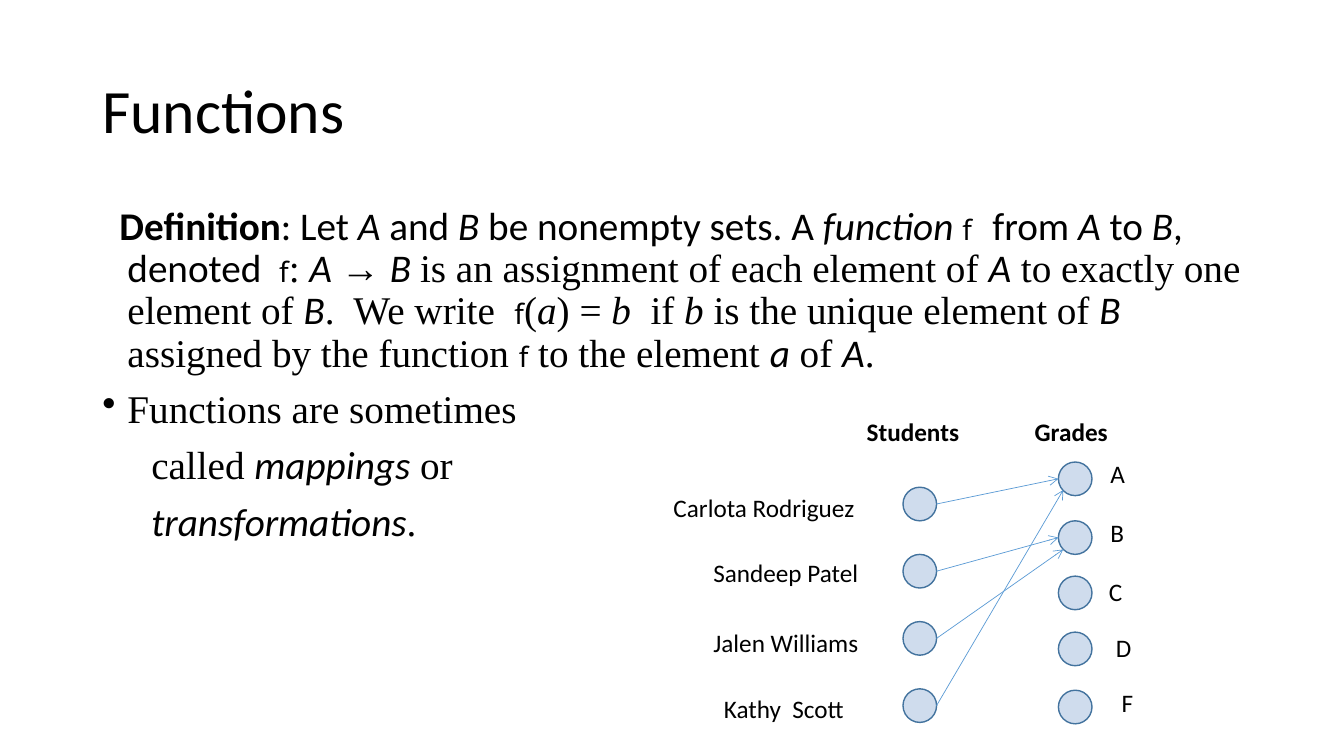
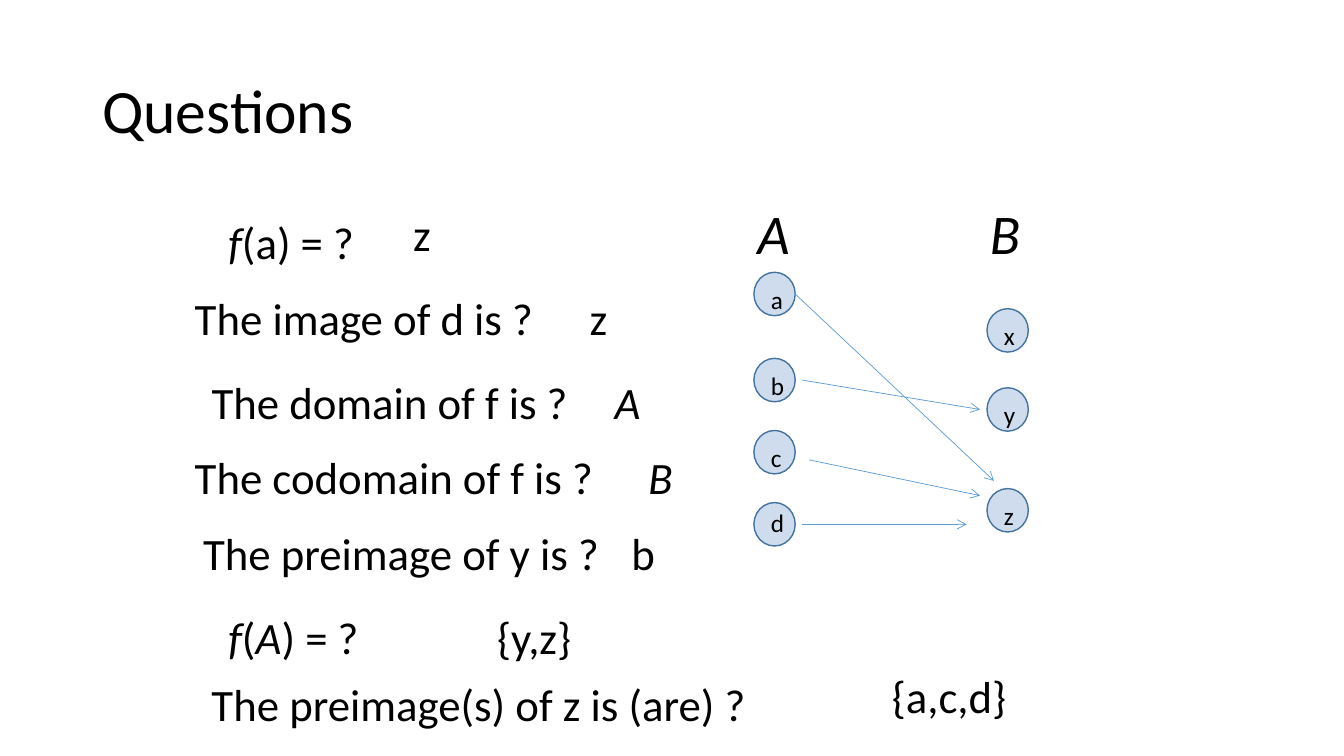
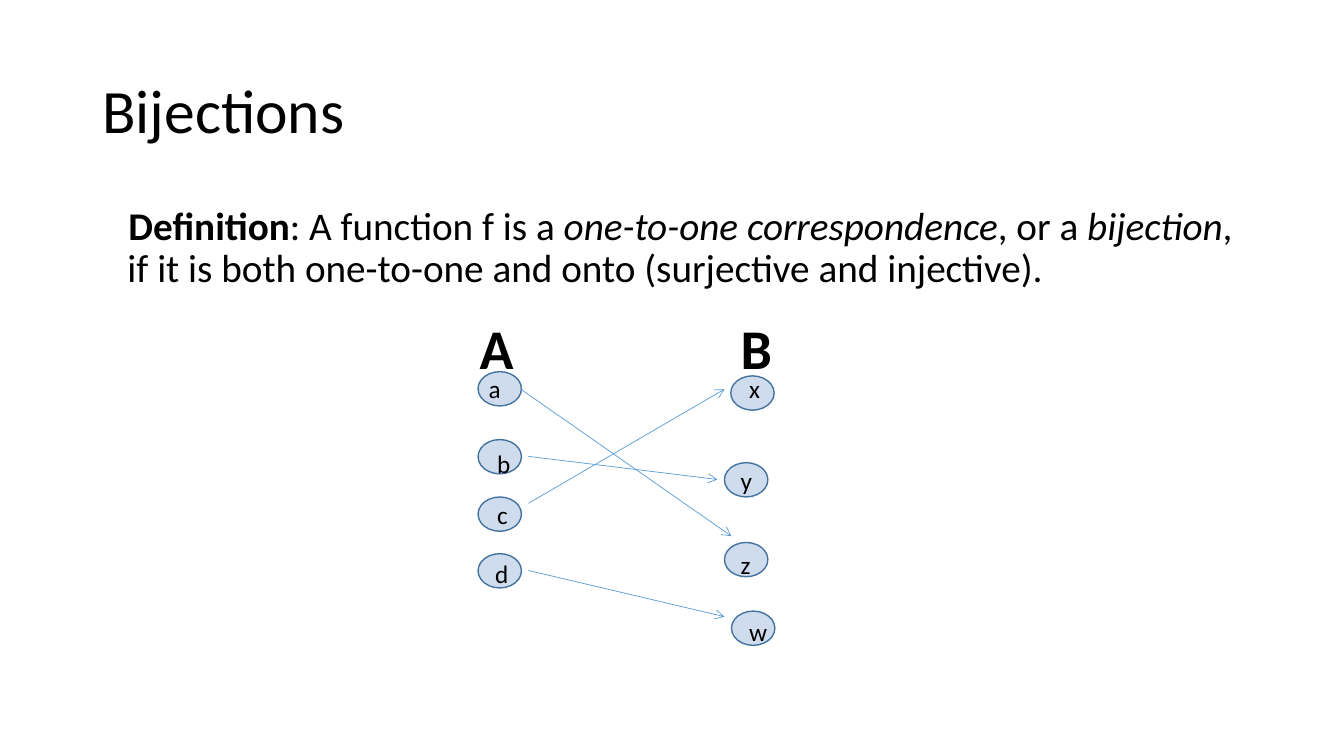
from lxml.etree import SubElement
from pptx import Presentation
from pptx.dml.color import RGBColor
from pptx.enum.shapes import MSO_CONNECTOR, MSO_SHAPE
from pptx.enum.text import MSO_ANCHOR
from pptx.oxml.ns import qn
from pptx.util import Pt

BLACK = RGBColor(0x00, 0x00, 0x00)
NODE_FILL = RGBColor(0x4F, 0x81, 0xBD)
NODE_LINE = RGBColor(0x43, 0x73, 0x9E)
ARROW = RGBColor(0x5B, 0x9B, 0xD5)
NODE_OPACITY = 27000

SERIF = "Times New Roman"
SYMBOL = "Noto Sans"
# style: (font, bold, italic, size that replaces the paragraph's size)
STYLES = {
    "plain": ("Calibri", False, False, None),
    "bold": ("Calibri", True, False, None),
    "italic": ("Calibri", False, True, None),
    "serif": (SERIF, False, False, None),
    "serif italic": (SERIF, False, True, None),
    "symbol": (SYMBOL, False, False, 20),
    "symbol gap": (SYMBOL, False, False, None),
}

# Body paragraph: (left margin, first-line indent, bullet, runs)
FUNCTIONS_BODY = [
    (18, -5.7, None, [
        ("Definition", "bold"), (": Let ", "plain"), ("A", "italic"), (" and ", "plain"),
        ("B ", "italic"), ("be nonempty sets. A ", "plain"), ("function ", "italic"),
        ("f", "symbol"), ("  ", "symbol gap"), ("from ", "plain"), ("A", "italic"),
        (" to ", "plain"), ("B", "italic"), (", denoted  ", "plain"), ("f", "symbol"),
        (": ", "serif"), ("A ", "italic"), ("→ ", "serif"), ("B ", "italic"),
        ("is an assignment of each element of ", "serif"), ("A", "italic"),
        (" to exactly one element of ", "serif"), ("B", "italic"),
        (".  We write  ", "serif"), ("f", "symbol"), ("(", "serif"),
        ("a", "serif italic"), (") = ", "serif"), ("b  ", "serif italic"),
        ("if ", "serif"), ("b", "serif italic"),
        (" is the unique element of ", "serif"), ("B", "italic"),
        (" assigned by the function ", "serif"), ("f", "symbol"),
        (" to the element ", "serif"), ("a", "italic"), (" of ", "serif"),
        ("A", "italic"), (".", "serif"),
    ]),
    (18, -18, "•", [("Functions are sometimes", "serif")]),
    (35, 0, None, [("called ", "serif"), ("mappings", "italic"), (" or", "serif")]),
    (35, 0, None, [("transformations", "italic"), (".", "serif")]),
]
BIJECTIONS_BODY = [
    (18, 0.7, None, [
        ("Definition", "bold"), (": A function f is a ", "plain"),
        ("one-to-one correspondence", "italic"), (", or a ", "plain"),
        ("bijection", "italic"),
        (", if it is both one-to-one and onto (surjective and injective).", "plain"),
    ]),
]

# Question or answer: (runs, left, top, width)
QUESTIONS = [
    ([("f", "italic"), ("(a) = ?", "plain")], 156, 150, 306),
    ([("z", "plain")], 288, 144, 228),
    ([("The image of d is ?", "plain")], 132, 204, 306),
    ([("z", "plain")], 414, 204, 54),
    ([("The domain of f is ?", "plain")], 144, 264, 306),
    ([("A", "italic")], 432, 264, 48),
    ([("The codomain of f is ?", "plain")], 132, 318, 318),
    ([("B", "italic")], 456, 318, 30),
    ([("The preimage of y is ?", "plain")], 138, 372, 324),
    ([("b", "plain")], 444, 372, 36),
    ([("f", "italic"), ("(", "plain"), ("A", "italic"), (") = ?", "plain")], 156, 432, 126),
    ([("{y,z}", "plain")], 348, 432, 108),
    ([("The preimage(s) of z is (are) ?", "plain")], 144, 480, 474),
    ([("{a,c,d}", "plain")], 630, 474, 210),
]

# headings: (text, left, top, width)
# nodes: (label, left, top, label offset x, label offset y, label width)
# arrows: (from x, from y, to x, to y)
STUDENT_LEFT, STUDENT_TOP, STUDENT_STEP = 645, 348, 48
STUDENTS = [("Carlota Rodriguez", -171, 0, 186), ("Sandeep Patel", -142.5, -1.5, 130),
            ("Jalen Williams", -142.5, 0.5, 125), ("Kathy  Scott", -135, 0, 102)]
GRADES_MAP = {
    "node_size": (24, 24),
    "heading_style": ("bold", 18, 29),
    "headings": [("Students", 612, 294, 126), ("Grades", 732, 294, 84)],
    "nodes": [
        (name, STUDENT_LEFT, STUDENT_TOP + STUDENT_STEP * row, dx, dy, width)
        for row, (name, dx, dy, width) in enumerate(STUDENTS)
    ] + [
        ("A", 756, 330, 30, -6, 16), ("B", 756, 372, 30, -6, 16),
        ("C", 756, 411.5, 29, -3.5, 16), ("D", 756, 451.5, 34, -3.5, 16),
        ("F", 756, 493, 38, -5.5, 18),
    ],
    "arrows": [
        (STUDENT_LEFT + 24, STUDENT_TOP + 12 + STUDENT_STEP * row, x, y)
        for row, (x, y) in enumerate([(756, 342), (756, 384), (759.5, 392.5), (759.5, 350)])
    ],
}
QUESTION_MAP = {
    "node_size": (29.5, 31),
    "heading_style": ("italic", 40, 55),
    "headings": [("A", 534, 138, 44), ("B", 700, 138, 44)],
    "nodes": [
        ("a", 538.5, 194.5, 5, 5, 19.5), ("b", 538.5, 256, 5, 5, 19.5),
        ("c", 538.5, 307.5, 5, 5, 19.5), ("d", 538.5, 359, 5, 0, 19.5),
        ("x", 705, 220.5, 5, 5, 19.5), ("y", 705, 277, 5, 5, 19.5),
        ("z", 705, 349, 5, 5, 19.5),
    ],
    "arrows": [(568, 210, 710, 343.5), (573, 271.5, 700, 292.5),
               (578, 328.5, 700, 354), (573, 374.5, 690.5, 374.5)],
}
BIJECTION_MAP = {
    "node_size": (31, 24.5),
    "heading_style": ("bold", 40, 55),
    "headings": [("A", 335.5, 220.5, 47), ("B", 522, 220.5, 47)],
    "nodes": [
        ("a", 341.5, 265.5, 0.5, -2.5, 21), ("b", 341.5, 314, 6.5, 3, 21),
        ("c", 341.5, 355, 6.5, -2, 21), ("d", 341.5, 395.5, 5, 0, 21),
        ("x", 522, 268.5, 6, -5.5, 21), ("y", 517.5, 330.5, 4.5, -2, 21),
        ("z", 517.5, 387.5, 4.5, 1.5, 21), ("w", 522.5, 436.5, 5.5, 0, 21),
    ],
    "arrows": [(372, 278, 522.5, 383), (377.5, 326, 512.5, 342.5),
               (377.5, 359.5, 517.5, 278), (377.5, 407.5, 517.5, 440.5)],
}


def add_box(slide, left, top, width, height):
    text_frame = slide.shapes.add_textbox(Pt(left), Pt(top), Pt(width), Pt(height)).text_frame
    text_frame.word_wrap = True
    return text_frame


def add_runs(paragraph, runs, size):
    for text, style in runs:
        font_name, bold, italic, own_size = STYLES[style]
        run = paragraph.add_run()
        run.text = text
        run.font.name = font_name
        run.font.bold = bold
        run.font.italic = italic
        run.font.size = Pt(own_size or size)
        run.font.color.rgb = BLACK


def add_line_of_text(slide, runs, left, top, width, height, size):
    text_frame = add_box(slide, left, top, width, height)
    add_runs(text_frame.paragraphs[0], runs, size)
    return text_frame


def add_title(slide, title):
    text_frame = add_line_of_text(slide, [(title, "plain")], 66, 28.75, 828, 104.4, 44)
    text_frame.vertical_anchor = MSO_ANCHOR.MIDDLE
    text_frame.paragraphs[0].line_spacing = 0.9


def add_body(slide, paragraphs):
    text_frame = add_box(slide, 66, 143.75, 828, 342.6)
    for index, (margin, indent, bullet, runs) in enumerate(paragraphs):
        paragraph = text_frame.add_paragraph() if index else text_frame.paragraphs[0]
        paragraph.line_spacing = 0.9
        if index:
            paragraph.space_before = Pt(10)
        properties = paragraph._p.get_or_add_pPr()
        properties.set("marL", str(Pt(margin)))
        properties.set("indent", str(Pt(indent)))
        if bullet:
            SubElement(properties, qn("a:buChar"), char=bullet)
        else:
            SubElement(properties, qn("a:buNone"))
        add_runs(paragraph, runs, 28)


def add_node(slide, left, top, size):
    node = slide.shapes.add_shape(MSO_SHAPE.FLOWCHART_CONNECTOR,
                                  Pt(left), Pt(top), Pt(size[0]), Pt(size[1]))
    node.shadow.inherit = False
    node.fill.solid()
    node.fill.fore_color.rgb = NODE_FILL
    color = node._element.spPr.find(qn("a:solidFill")).find(qn("a:srgbClr"))
    SubElement(color, qn("a:alpha"), val=str(NODE_OPACITY))
    node.line.color.rgb = NODE_LINE
    node.line.width = Pt(1)


def add_arrow(slide, ends):
    arrow = slide.shapes.add_connector(MSO_CONNECTOR.STRAIGHT, *(Pt(end) for end in ends))
    arrow.line.color.rgb = ARROW
    arrow.line.width = Pt(0.5)
    SubElement(arrow.line._get_or_add_ln(), qn("a:tailEnd"), type="arrow")
    SubElement(arrow._element.spPr, qn("a:effectLst"))


def add_mapping(slide, mapping):
    """Draw two columns of labelled nodes joined by arrows."""
    style, size, height = mapping["heading_style"]
    for text, left, top, width in mapping["headings"]:
        add_line_of_text(slide, [(text, style)], left, top, width, height, size)
    for label, left, top, dx, dy, width in mapping["nodes"]:
        add_node(slide, left, top, mapping["node_size"])
        add_line_of_text(slide, [(label, "plain")], left + dx, top + dy, width, 29, 18)
    for ends in mapping["arrows"]:
        add_arrow(slide, ends)


SLIDES = [
    ("Functions", FUNCTIONS_BODY, [], GRADES_MAP),
    ("Questions", [], QUESTIONS, QUESTION_MAP),
    ("Bijections", BIJECTIONS_BODY, [], BIJECTION_MAP),
]


def main():
    presentation = Presentation()
    presentation.slide_width = Pt(960)
    presentation.slide_height = Pt(540)
    for title, body, questions, mapping in SLIDES:
        slide = presentation.slides.add_slide(presentation.slide_layouts[6])
        add_title(slide, title)
        if body:
            add_body(slide, body)
        for runs, left, top, width in questions:
            add_line_of_text(slide, runs, left, top, width, 46, 32)
        add_mapping(slide, mapping)
    presentation.save("out.pptx")


if __name__ == "__main__":
    main()
